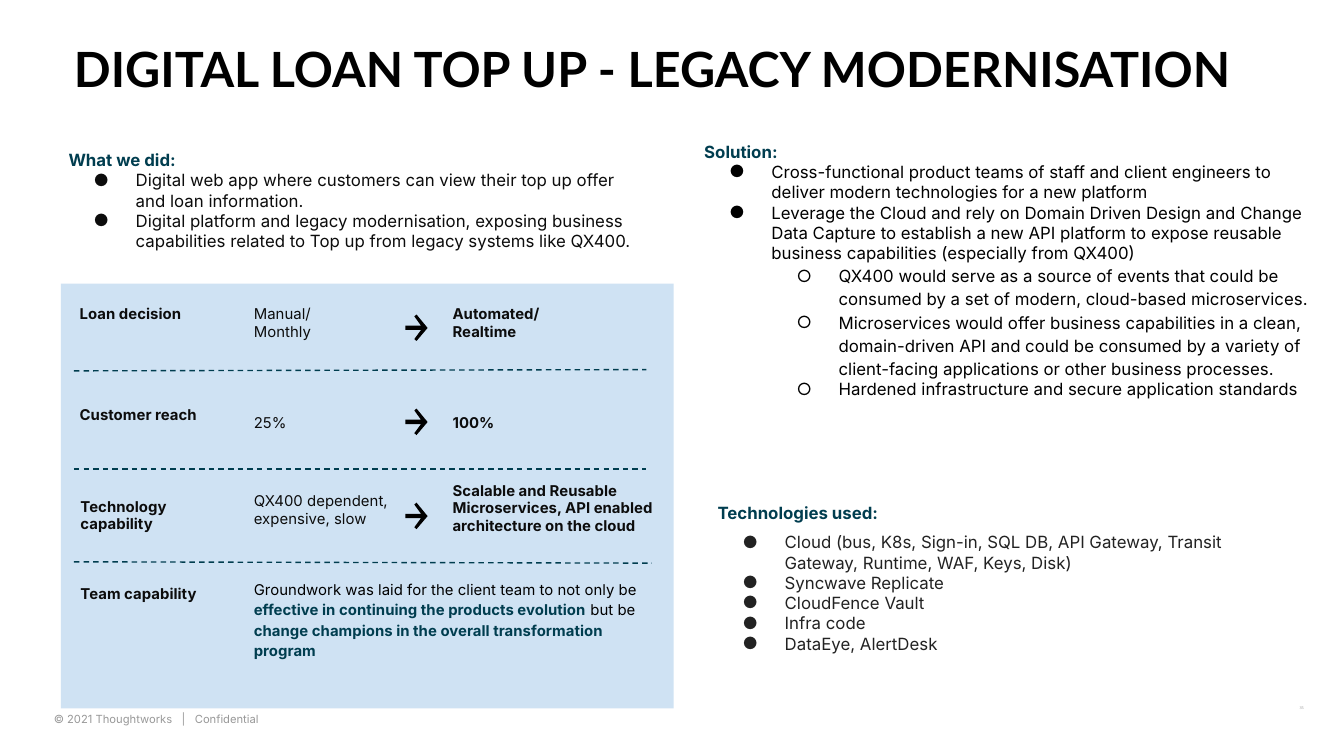
from lxml import etree
from pptx import Presentation, util as u
from pptx.dml.color import RGBColor
from pptx.enum import dml, shapes, text
from pptx.oxml.ns import qn

Pt = u.Pt
TEAL, INK, BLACK, DARK, GREY = "003D4F", "0C0C0C", "000000", "222222", "999999"
TOP, MID, BOTTOM = text.MSO_ANCHOR.TOP, text.MSO_ANCHOR.MIDDLE, text.MSO_ANCHOR.BOTTOM
CELL, VALUE = (7.2, 3.6), (7.2, 8.64)
LABEL_X, BEFORE_X, AFTER_X, ARROW_X = 35.6, 128.9, 235.4, 217.2

TITLE = "DIGITAL LOAN TOP UP - LEGACY MODERNISATION"
FOOTER = "© 2021 Thoughtworks   |   Confidential"
PAGE = "35"
PANEL = (32.6, 152, 328.3, 227.5)
DIVIDERS = [
    (39.6, 198.7, 346.3, 198),
    (39.6, 251.3, 346.3, 251.3),
    (39.6, 301, 349.2, 301.7),
]
ARROW_TOP, ARROW_STEP, ARROW_COUNT = 168.5, 50.4, 3
ARROW = [(8.4, 6), (4.8, 1), (6, 0), (11.9, 7.2), (6, 14.2), (4.8, 13.2),
         (8.4, 8.3), (0, 8.3), (0, 6)]

CELLS = [
    (["Loan decision"], (LABEL_X, 159.8, 83.5, 31), CELL, TOP, True),
    (["Manual/", "Monthly"], (BEFORE_X, 159.8, 72.7, 31), CELL, TOP, False),
    (["Automated/", "Realtime"], (AFTER_X, 159.8, 83.5, 31), CELL, TOP, True),
    (["Customer reach"], (LABEL_X, 213.8, 83.5, 25.2), CELL, TOP, True),
    (["25%"], (BEFORE_X, 208.1, 59, 36.7), VALUE, MID, False),
    (["100%"], (AFTER_X, 208.1, 65.5, 36.7), VALUE, MID, True),
    (["Technology capability"], (36, 262.8, 78.5, 25.2), CELL, TOP, True),
    (["QX400 dependent, expensive, slow"], (BEFORE_X, 259.9, 95, 31), CELL, TOP, False),
    (["Scalable and Reusable Microservices, API enabled architecture on the cloud"],
     (AFTER_X, 254.2, 129.6, 42.5), CELL, TOP, True),
    (["Team capability"], (36, 309.6, 95, 26.6), CELL, TOP, True),
]

TEAM = [
    ("Groundwork was laid for the client team to not only be ", BLACK, False),
    ("effective in continuing the products evolution", TEAL, True),
    (" but be ", BLACK, False),
    ("change champions in the overall transformation program", TEAL, True),
]

SECTIONS = [
    dict(title="What we did:", box=(32.4, 74.2, 310.3, 66.2), inset=(4.32, 4.32),
         anchor=MID, color=INK, spacing=None, gap=0, items=[
        (0, None, "Digital web app where customers can view their top up offer and loan information."),
        (0, None, "Digital platform and legacy modernisation, exposing business capabilities "
                  "related to Top up from legacy systems like QX400."),
    ]),
    dict(title="Solution:", box=(377.3, 74.2, 328.3, 181.4), inset=(0, 0),
         anchor=TOP, color=BLACK, spacing=1.15, gap=0, items=[
        (0, None, "Cross-functional product teams of staff and client engineers to deliver "
                  "modern technologies for a new platform"),
        (0, None, "Leverage the Cloud and rely on Domain Driven Design and Change Data Capture "
                  "to establish a new API platform to expose reusable business capabilities "
                  "(especially from QX400)"),
        (1, 1.15, "QX400 would serve as a source of events that could be consumed by a set of "
                  "modern, cloud-based microservices."),
        (1, 1.15, "Microservices would offer business capabilities in a clean, domain-driven API "
                  "and could be consumed by a variety of client-facing applications or other "
                  "business processes."),
        (1, None, "Hardened infrastructure and secure application standards"),
    ]),
    dict(title="Technologies used:", box=(377.3, 262.1, 291.6, 126.7), inset=(7.2, 7.2),
         anchor=TOP, color=DARK, spacing=None, gap=5, items=[
        (0, None, "Cloud (bus, K8s, Sign-in, SQL DB, API Gateway, Transit Gateway, "
                  "Runtime, WAF, Keys, Disk)"),
        (0, None, "Syncwave Replicate"),
        (0, None, "CloudFence Vault"),
        (0, None, "Infra code"),
        (0, None, "DataEye, AlertDesk"),
    ]),
]


def rgb(value):
    return RGBColor.from_string(value)


def style(r, size, color, bold=False, font="Inter"):
    f = r.font
    f.size, f.bold, f.name = Pt(size), bold, font
    f.color.rgb = rgb(color)


def frame(sp, inset, anchor):
    tf = sp.text_frame
    tf.word_wrap = True
    tf.auto_size = text.MSO_AUTO_SIZE.NONE
    tf.margin_left = tf.margin_right = Pt(inset[0])
    tf.margin_top = tf.margin_bottom = Pt(inset[1])
    tf.vertical_anchor = anchor
    return tf


def add_box(s, box, inset, anchor):
    return frame(s.shapes.add_textbox(*map(Pt, box)), inset, anchor)


def add_text(s, lines, box, inset, anchor, size, color, bold=False, font="Inter"):
    tf = add_box(s, box, inset, anchor)
    tf.text = "\n".join(lines)
    for p in tf.paragraphs:
        style(p.runs[0], size, color, bold, font)
    return tf


def bullet(p, level, color):
    p.level = level
    pPr = p._p.get_or_add_pPr()
    pPr.set("marL", str(Pt(36 * (level + 1))))
    pPr.set("indent", str(-Pt(22.5)))
    clr = etree.SubElement(pPr, qn("a:buClr"))
    etree.SubElement(clr, qn("a:srgbClr"), val=color)
    etree.SubElement(pPr, qn("a:buFont"), typeface="Inter")
    etree.SubElement(pPr, qn("a:buChar"), char="●○"[level])


def add_section(s, sec):
    tf = add_text(s, [sec["title"]], sec["box"], sec["inset"], sec["anchor"], 9, TEAL, True)
    tf.paragraphs[0].line_spacing = sec["spacing"]
    for i, (level, spacing, line) in enumerate(sec["items"]):
        p = tf.add_paragraph()
        p.text = line
        bullet(p, level, sec["color"])
        p.line_spacing = spacing
        if i == 0:
            p.space_before = Pt(sec["gap"])
        style(p.runs[0], 9, sec["color"])


def add_divider(s, ends):
    c = s.shapes.add_connector(shapes.MSO_CONNECTOR.STRAIGHT, *map(Pt, ends))
    c.line.color.rgb = rgb(TEAL)
    c.line.width = Pt(0.75)
    c.line.dash_style = dml.MSO_LINE.DASH
    etree.SubElement(c._element.spPr, qn("a:effectLst"))


def paint(sp, color):
    sp.shadow.inherit = False
    sp.fill.solid()
    sp.fill.fore_color.rgb = rgb(color)
    sp.line.fill.background()


def add_arrow(s, x, y):
    pts = [(Pt(x + dx), Pt(y + dy)) for dx, dy in ARROW]
    fb = s.shapes.build_freeform(*pts[0])
    fb.add_line_segments(pts[1:], close=True)
    paint(fb.convert_to_shape(), BLACK)


def main():
    prs = Presentation()
    prs.slide_width, prs.slide_height = Pt(720), Pt(405)
    s = prs.slides.add_slide(prs.slide_layouts[5])

    title = s.shapes.title
    title.left, title.top, title.width, title.height = map(Pt, (32.4, 20.9, 662.4, 31))
    tf = frame(title, (7.2, 7.2), MID)
    tf.text = TITLE
    tf.paragraphs[0].alignment = text.PP_ALIGN.LEFT
    style(tf.paragraphs[0].runs[0], 26, BLACK, True, "Lato")

    add_text(s, [FOOTER], (28.8, 375.1, 310.3, 13.7), (0, 0), BOTTOM, 6, GREY)
    paint(s.shapes.add_shape(shapes.MSO_SHAPE.RECTANGLE, *map(Pt, PANEL)), "CFE2F3")
    for ends in DIVIDERS:
        add_divider(s, ends)
    for i in range(ARROW_COUNT):
        add_arrow(s, ARROW_X, ARROW_TOP + i * ARROW_STEP)
    for lines, box, inset, anchor, bold in CELLS:
        add_text(s, lines, box, inset, anchor, 8, INK, bold)

    p = add_box(s, (BEFORE_X, 306, 231.8, 73.4), CELL, TOP).paragraphs[0]
    p.line_spacing = 1.15
    for words, color, bold in TEAM:
        r = p.add_run()
        r.text = words
        style(r, 8, color, bold)

    for sec in SECTIONS:
        add_section(s, sec)

    tf = add_text(s, [PAGE], (662.4, 371.5, 43.2, 15.1), (7.2, 7.2), TOP, 2, GREY, font="Open Sans")
    tf.paragraphs[0].alignment = text.PP_ALIGN.RIGHT
    tf.paragraphs[0].line_spacing = 0.8
    prs.save("out.pptx")


if __name__ == "__main__":
    main()
